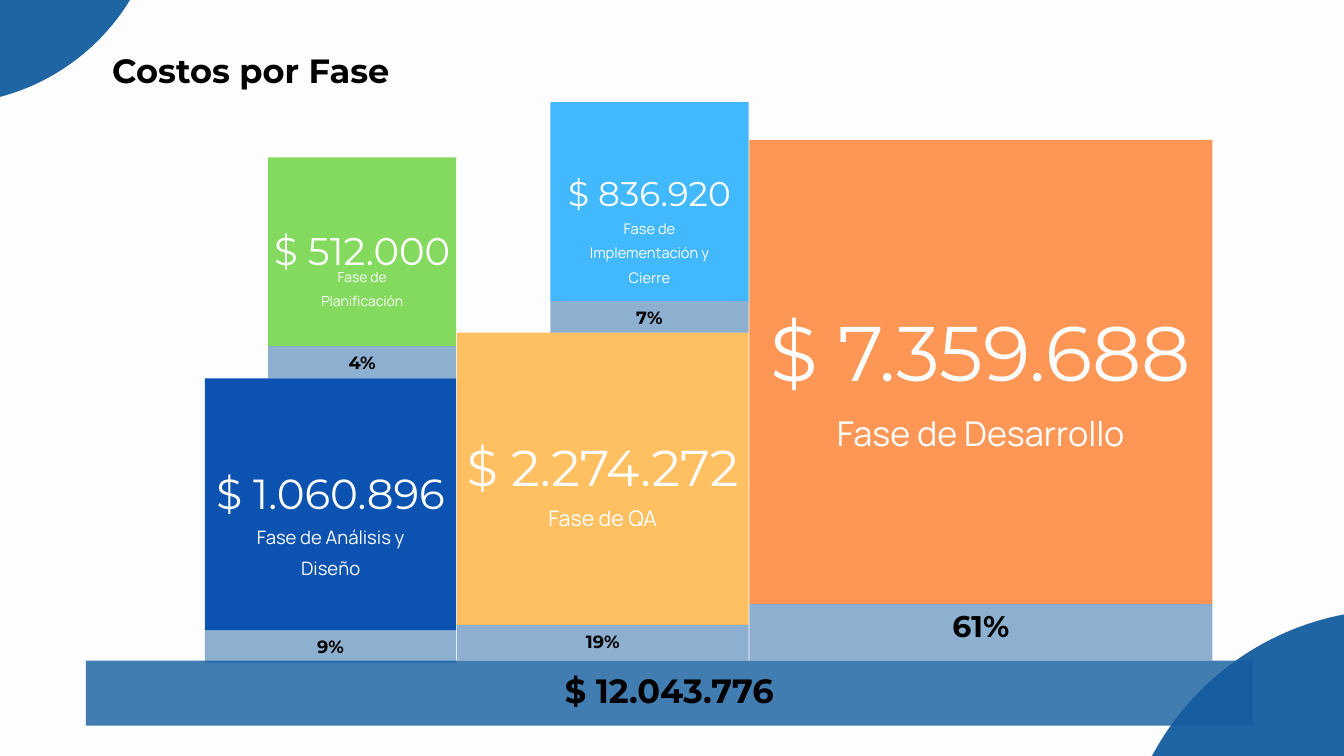
import pptx
import pptx.util
import pptx.dml.color
import pptx.enum.shapes
import pptx.enum.text
import pptx.oxml
import pptx.oxml.ns
from collections import namedtuple

Inches = pptx.util.Inches
RGBColor = pptx.dml.color.RGBColor
Shape = pptx.enum.shapes.MSO_SHAPE
Align = pptx.enum.text.PP_ALIGN
Anchor = pptx.enum.text.MSO_ANCHOR
Fit = pptx.enum.text.MSO_AUTO_SIZE

PAPER = RGBColor(0xFD, 0xFD, 0xFD)
BLACK = RGBColor(0, 0, 0)
STEEL = RGBColor(0x14, 0x5D, 0xA0)
GREEN = RGBColor(0x7E, 0xD9, 0x57)
NAVY = RGBColor(0x00, 0x4A, 0xAD)
CORAL = RGBColor(0xFF, 0x91, 0x4D)
AMBER = RGBColor(0xFF, 0xBD, 0x59)
SKY = RGBColor(0x38, 0xB6, 0xFF)
HEAD, BODY = "Montserrat", "Manrope"

Line = namedtuple("Line", "text size drop high")
Foot = namedtuple("Foot", "text size high lift")
Card = namedtuple("Card", "box color cost phase foot")

PLAN = Card((3.99, 2.34, 2.8, 2.81), GREEN,
            Line("$ 512.000", 41.3, 0.76, 0.75),
            Line("Fase de Planificación", 14.9, 1.56, 0.55),
            Foot("4%", 19, 0.48, 0.11))
STUDY = Card((3.05, 5.63, 3.74, 3.75), NAVY,
             Line("$ 1.060.896", 45, 1.02, 0.81),
             Line("Fase de Análisis y Diseño", 19.8, 2.06, 1.12),
             Foot("9%", 19, 0.49, 0.15))
BUILD = Card((11.15, 2.08, 6.89, 6.91), CORAL,
             Line("$ 7.359.688", 82.8, 1.89, 1.5),
             Line("Fase de Desarrollo", 36.6, 3.81, 1.37),
             Foot("61%", 32, 0.84, 0.41))
CHECK = Card((6.8, 4.95, 4.34, 4.35), AMBER,
             Line("$ 2.274.272", 54, 1.18, 0.99),
             Line("Fase de QA", 23, 2.41, 0.42),
             Foot("19%", 19, 0.53, 0.17))
CLOSE = Card((8.19, 1.52, 2.95, 2.96), SKY,
             Line("$ 836.920", 36.7, 0.8, 0.67),
             Line("Fase de Implementación y Cierre", 15.7, 1.64, 0.88),
             Foot("7%", 19, 0.47, 0.12))


def add_fill(shapes, kind, box, color, alpha):
    """Add a borderless shape with a partly clear fill."""
    shape = shapes.add_shape(kind, *map(Inches, box))
    shape.shadow.inherit = False
    shape.line.fill.background()
    shape.fill.solid()
    shape.fill.fore_color.rgb = color
    tint = shape.fill._xPr.find(".//" + pptx.oxml.ns.qn("a:srgbClr"))
    node = pptx.oxml.parse_xml(
        f'<a:alpha {pptx.oxml.ns.nsdecls("a")} val="{alpha * 1000}"/>')
    tint.append(node)


def add_text(shapes, box, text, size, font, color, bold=False,
             align=Align.CENTER, pad=0):
    """Add a line of text; padded boxes are centred in height."""
    shape = shapes.add_textbox(*map(Inches, box))
    frame = shape.text_frame
    frame.word_wrap = True
    frame.auto_size = Fit.NONE if pad else Fit.SHAPE_TO_FIT_TEXT
    frame.vertical_anchor = Anchor.MIDDLE if pad else Anchor.TOP
    frame.margin_left = frame.margin_right = Inches(pad)
    frame.margin_top = frame.margin_bottom = Inches(pad)
    para = frame.paragraphs[0]
    para.alignment = align
    para.line_spacing = 1.4
    run = para.add_run()
    run.text = text
    run.font.size = pptx.util.Pt(size)
    run.font.name = font
    run.font.bold = bold
    run.font.color.rgb = color


def add_band(shapes, box, text, size, alpha, lift):
    """Add a steel band whose bold text box starts above it."""
    left, top, width, high = box
    add_fill(shapes, Shape.RECTANGLE, box, STEEL, alpha)
    add_text(shapes, (left, top - lift, width, high + lift),
             text, size, HEAD, BLACK, True, pad=0.06)


def add_card(slide, card):
    """Add a phase square with its cost, name and share."""
    shapes = slide.shapes.add_group_shape().shapes
    left, top, width, high = card.box
    add_fill(shapes, Shape.RECTANGLE, card.box, card.color, 95)
    for line, font, part in ((card.phase, BODY, 0.678),
                             (card.cost, HEAD, 0.936)):
        inset = width * (1 - part) / 2
        add_text(shapes,
                 (left + inset, top + line.drop, width * part, line.high),
                 line.text, line.size, font, PAPER)
    foot = card.foot
    add_band(shapes, (left, top + high, width, foot.high),
             foot.text, foot.size, 48, foot.lift)


def add_title(slide, box):
    """Add the slide heading."""
    add_text(slide.shapes, box, "Costos por Fase", 36, HEAD, BLACK, True,
             Align.LEFT)


def add_disc(slide, left, top, size):
    """Add a round corner accent."""
    add_fill(slide.shapes, Shape.OVAL, (left, top, size, size), STEEL, 95)


def add_total(slide, box):
    """Add the total bar under the cards."""
    shapes = slide.shapes.add_group_shape().shapes
    add_band(shapes, box, "$ 12.043.776", 36, 80, 0.33)


def main():
    """Build and save the slide."""
    deck = pptx.Presentation()
    deck.slide_width, deck.slide_height = Inches(20), Inches(11.25)
    slide = deck.slides.add_slide(deck.slide_layouts[6])
    slide.background.fill.solid()
    slide.background.fill.fore_color.rgb = PAPER
    add_title(slide, (1.67, 0.51, 5.26, 1.37))
    add_card(slide, PLAN)
    add_disc(slide, 16.66, 9.07, 8.23)
    add_disc(slide, -4.07, -4.93, 6.48)
    for card in (STUDY, BUILD, CHECK, CLOSE):
        add_card(slide, card)
    add_total(slide, (1.28, 9.83, 17.36, 0.97))
    deck.save("out.pptx")


if __name__ == "__main__":
    main()
